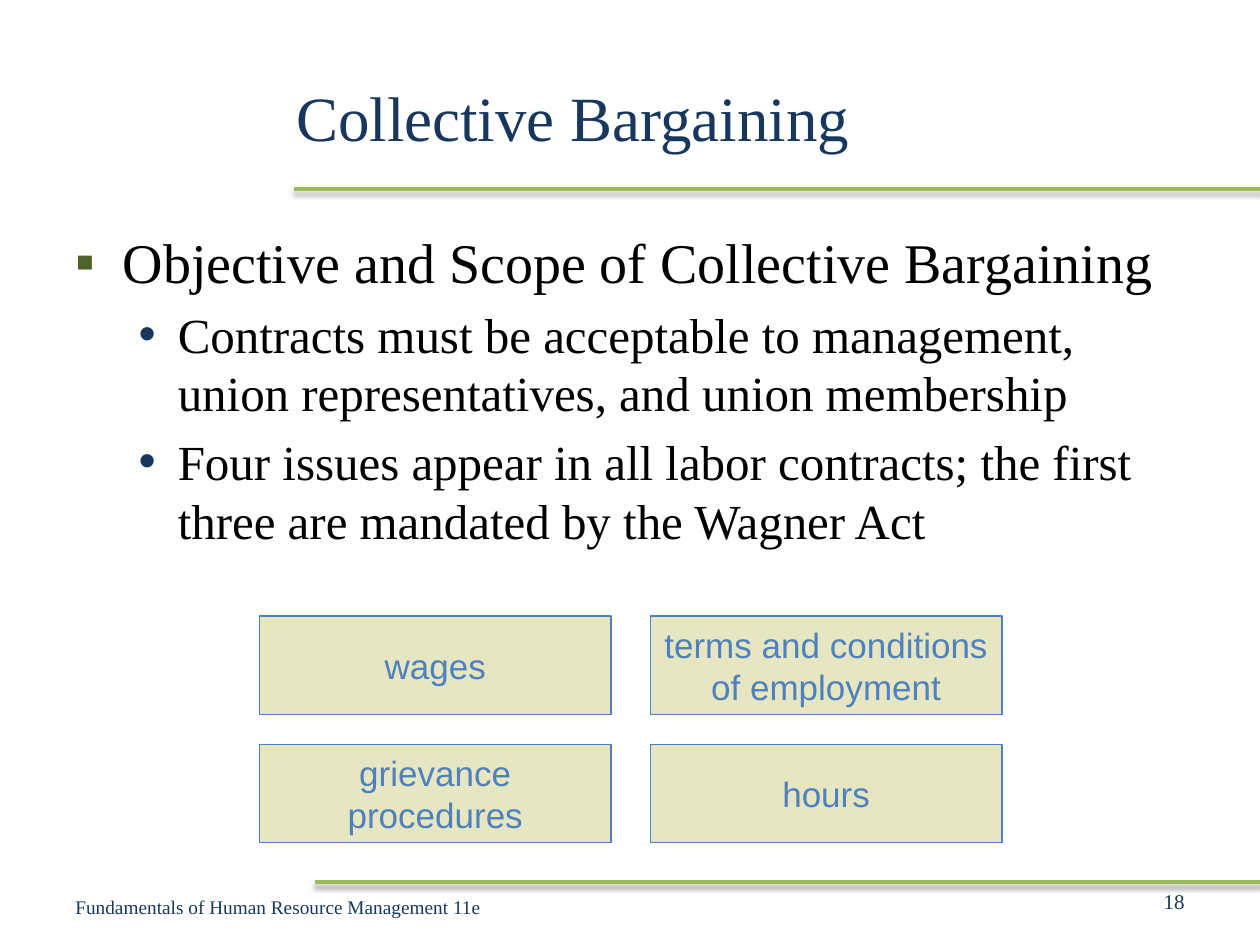
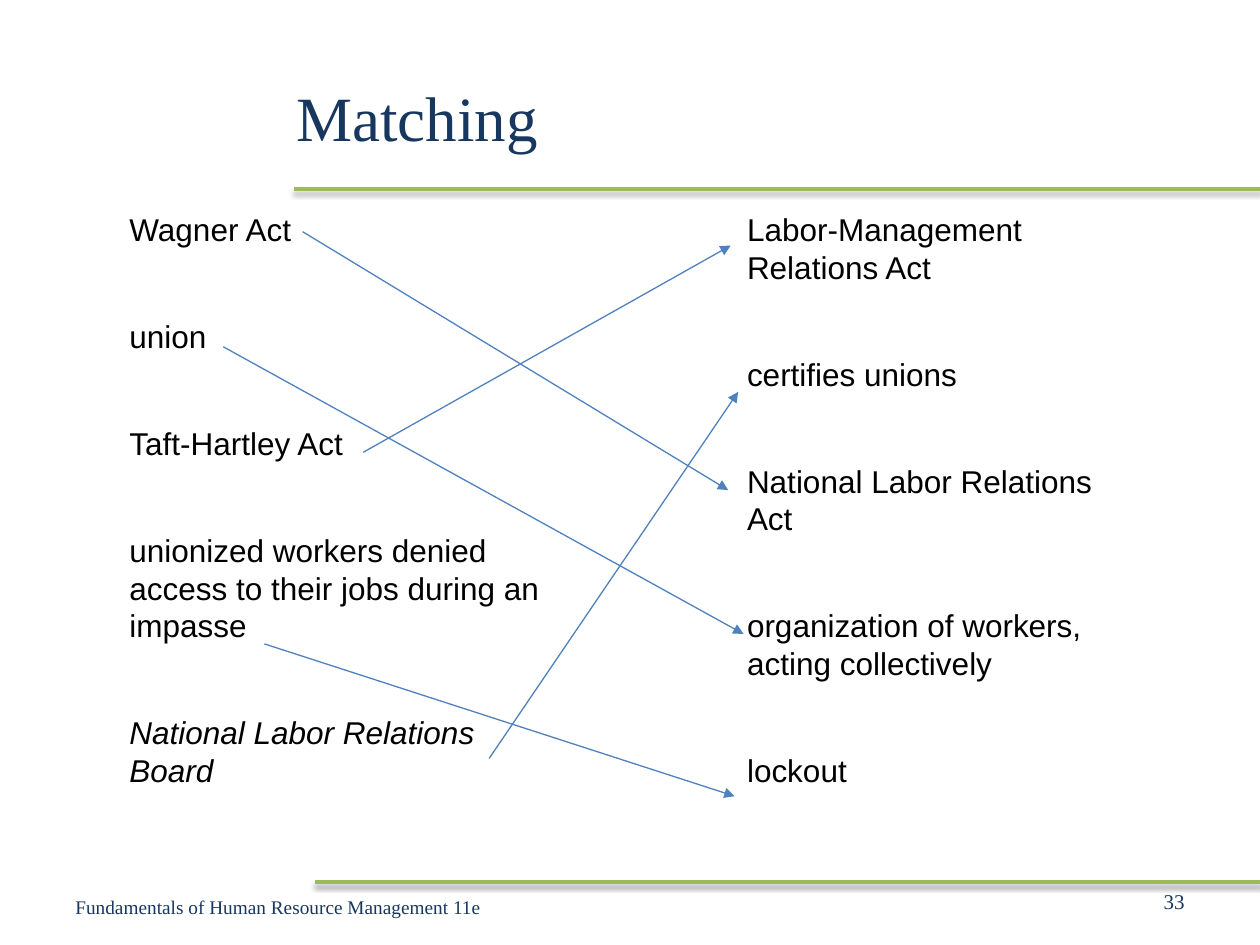
from lxml import etree
from pptx import Presentation
from pptx.dml.color import RGBColor
from pptx.enum import shapes, text
from pptx.oxml.ns import qn
from pptx.util import Cm, Pt

# Shared look
NAVY, GREEN, BLUE, SAND, BLACK = "17375E", "9BBB59", "4F81BD", "E6E6C2", "000000"
SERIF, SANS = "Times New Roman", "Arial"
WIDE, HIGH = 25.4, 19.05
RULES = [(5.92, 3.81), (6.35, 17.78)]
FOOT = "Fundamentals of Human Resource Management 11e"
LEFT, MID, RIGHT = text.PP_ALIGN.LEFT, text.PP_ALIGN.CENTER, text.PP_ALIGN.RIGHT

# Slide 1: level and text of each point
POINTS = [
    (0, "Objective and Scope of Collective Bargaining"),
    (1, "Contracts must be acceptable to management, union representatives, "
        "and union membership"),
    (1, "Four issues appear in all labor contracts; the first three are "
        "mandated by the Wagner Act"),
]
# size, space before, left margin, hanging indent, bullet, bullet colour
LEVELS = [(32, 6.4, 0.95, 0.95, "▪", "4F6228"),
          (28, 5.6, 2.06, 0.79, "•", NAVY)]
ISSUES = [["wages", "terms and conditions\nof employment"],
          ["grievance\nprocedures", "hours"]]

# Slide 2: terms, meanings and the arrows between them
TERMS = ["Wagner Act", "union", "Taft-Hartley Act",
         "unionized workers denied access to their jobs during an impasse",
         "National Labor Relations Board"]
MEANS = ["Labor-Management Relations Act", "certifies unions",
         "National Labor Relations Act",
         "organization of workers, acting collectively", "lockout"]
COLUMNS = [(TERMS, (2.36, 4.11, 8.94, 13.61)),
           (MEANS, (14.81, 4.11, 7.57, 12.47))]
ARROWS = [(4.5, 6.99, 14.99, 12.78), (5.33, 12.98, 14.81, 16.05),
          (9.86, 15.29, 14.88, 7.9), (7.32, 9.12, 14.73, 4.95),
          (6.1, 4.67, 14.68, 9.88)]


def rgb(code):
    return RGBColor.from_string(code)


def cms(vals):
    return [Cm(v) for v in vals]


def sub(node, tag, **attrs):
    return etree.SubElement(node, qn(tag), attrs)


def style(para, size, face, tint, align=LEFT):
    para.alignment = align
    for run in para.runs:
        run.font.size, run.font.name = Pt(size), face
        run.font.color.rgb = rgb(tint)


def write(shape, words, size, face, tint, align=LEFT,
          anchor=text.MSO_ANCHOR.MIDDLE, wrap=True):
    frame = shape.text_frame
    frame.text = words
    frame.word_wrap, frame.vertical_anchor = wrap, anchor
    frame.auto_size = text.MSO_AUTO_SIZE.NONE
    for para in frame.paragraphs:
        style(para, size, face, tint, align)
    return frame


def place(shape, spot):
    shape.left, shape.top, shape.width, shape.height = cms(spot)


def line(slide, ends, tint, width):
    link = slide.shapes.add_connector(shapes.MSO_CONNECTOR.STRAIGHT, *cms(ends))
    link.line.color.rgb, link.line.width = rgb(tint), Pt(width)
    return link, sub(link._element.spPr, "a:effectLst")


def start(deck, layout, title, number):
    slide = deck.slides.add_slide(deck.slide_layouts[layout])
    # Green rules with a soft shadow
    for left, top in RULES:
        _, fx = line(slide, (left, top, WIDE, top), GREEN, 2)
        shade = sub(fx, "a:outerShdw", blurRad="40000", dist="20000",
                    dir="5400000", rotWithShape="0")
        sub(sub(shade, "a:srgbClr", val=BLACK), "a:alpha", val="38000")
    # Title
    head = slide.shapes.title
    place(head, (5.72, 0.76, 18.42, 3.18))
    write(head, title, 36, SERIF, NAVY)
    # Page number and footer
    for words, spot, size, align in [
            (number, (18.2, 17.65, 5.93, 1.02), 12, RIGHT),
            (FOOT, (1.27, 17.78, 9.53, 1.02), 11, LEFT)]:
        write(slide.shapes.add_textbox(*cms(spot)), words, size, SERIF, NAVY, align)
    return slide


def bargain(deck):
    slide = start(deck, 1, "Collective Bargaining", "18")
    # Bulleted points
    body = slide.placeholders[1]
    place(body, (1.27, 4.45, 22.86, 12.57))
    frame = write(body, "\n".join(words for _, words in POINTS), 28, SERIF, BLACK,
                  anchor=text.MSO_ANCHOR.TOP)
    for para, (level, _) in zip(frame.paragraphs, POINTS):
        size, gap, margin, hang, mark, tint = LEVELS[level]
        para.level, para.space_before = level, Pt(gap)
        style(para, size, SERIF, BLACK)
        prop = para._p.get_or_add_pPr()
        prop.set("marL", str(Cm(margin)))
        prop.set("indent", str(-Cm(hang)))
        sub(sub(prop, "a:buClr"), "a:srgbClr", val=tint)
        sub(prop, "a:buFont", typeface=SANS)
        sub(prop, "a:buChar", char=mark)
    # Grid of contract issues
    for row, names in enumerate(ISSUES):
        for col, name in enumerate(names):
            spot = (5.23 + 7.88 * col, 12.42 + 2.59 * row, 7.09, 1.98)
            box = slide.shapes.add_shape(shapes.MSO_SHAPE.RECTANGLE, *cms(spot))
            box.shadow.inherit = False
            box.fill.solid()
            box.fill.fore_color.rgb = rgb(SAND)
            box.line.color.rgb, box.line.width = rgb(BLUE), Pt(0.75)
            write(box, name, 20, SANS, BLUE, MID, wrap=False)


def match(deck):
    slide = start(deck, 5, "Matching", "33")
    # Two columns of entries
    for items, spot in COLUMNS:
        box = slide.shapes.add_textbox(*cms(spot))
        frame = write(box, "\n".join(items), 18, SANS, BLACK,
                      anchor=text.MSO_ANCHOR.TOP)
        for para in frame.paragraphs[1:]:
            para.space_before = Pt(39.5)
        if items is TERMS:
            frame.paragraphs[-1].runs[0].font.italic = True
    # Arrows from term to meaning
    for ends in ARROWS:
        link, _ = line(slide, ends, BLUE, 0.75)
        sub(link.line._get_or_add_ln(), "a:tailEnd", type="triangle")


def main():
    deck = Presentation()
    deck.slide_width, deck.slide_height = Cm(WIDE), Cm(HIGH)
    bargain(deck)
    match(deck)
    deck.save("out.pptx")


if __name__ == "__main__":
    main()
